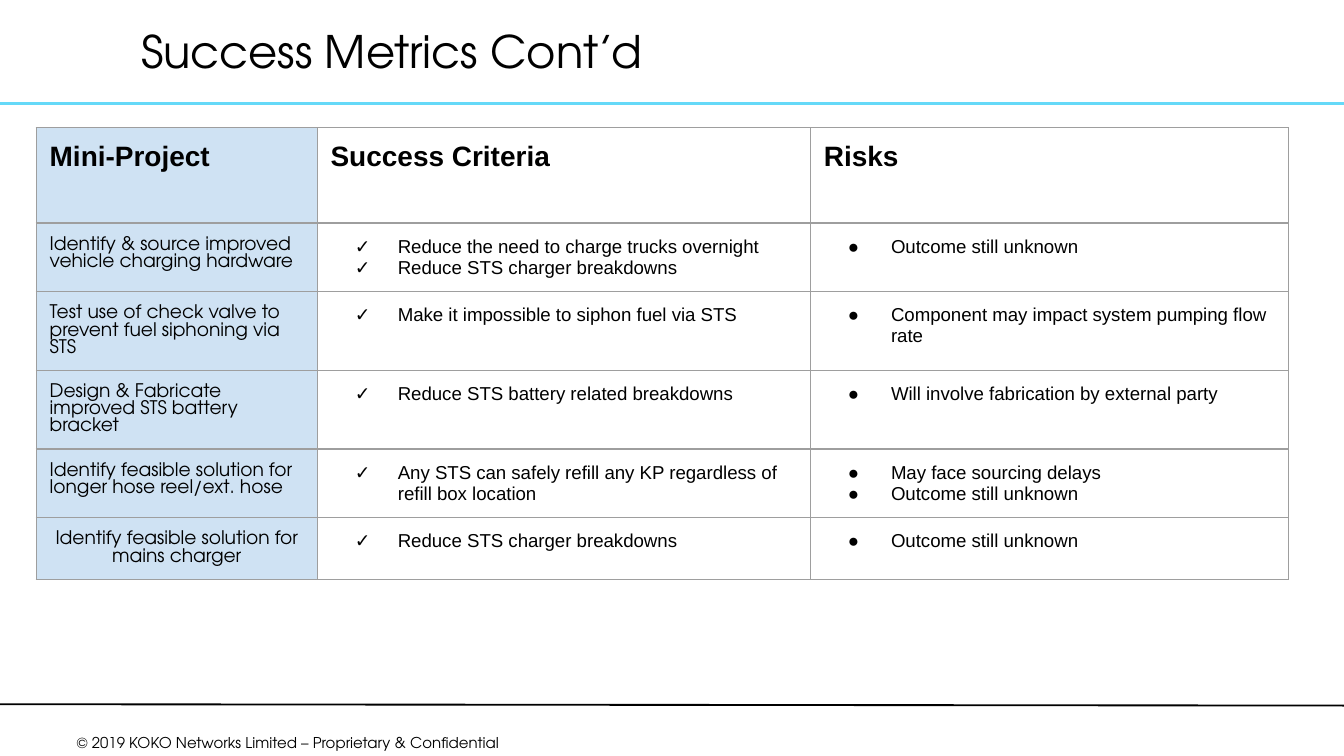
from dataclasses import dataclass

from lxml import etree
from pptx import Presentation
from pptx.dml.color import RGBColor
from pptx.enum.shapes import MSO_CONNECTOR
from pptx.enum.text import MSO_ANCHOR, MSO_AUTO_SIZE, PP_ALIGN
from pptx.oxml.ns import qn
from pptx.util import Inches, Pt

STRAIGHT = MSO_CONNECTOR.STRAIGHT
LEFT, CENTER = PP_ALIGN.LEFT, PP_ALIGN.CENTER
TOP, MIDDLE = MSO_ANCHOR.TOP, MSO_ANCHOR.MIDDLE
NO_AUTOFIT = MSO_AUTO_SIZE.NONE

PAGE_WIDTH = 10
PAGE_HEIGHT = PAGE_WIDTH * 9 / 16
COLORS = {"text": "000000", "accent": "65D9F8", "project": "CFE2F3", "border": "9E9E9E"}
DISPLAY_FONT, BODY_FONT = "TeX Gyre Adventor", "Arial"
CHECK, DOT = "✓", "●"


@dataclass
class TextStyle:
    name: str
    size: float
    bold: bool = False


@dataclass
class Rule:
    start: tuple[float, float]
    end: tuple[float, float]
    color: str
    width: float


@dataclass
class Project:
    name: str
    criteria: list[str]
    risks: list[str]
    align: PP_ALIGN = LEFT


TITLE = TextStyle(DISPLAY_FONT, 24)
FOOTER = TextStyle(DISPLAY_FONT, 8)
HEADING = TextStyle(BODY_FONT, 15, True)
PROJECT = TextStyle(DISPLAY_FONT, 10)
ITEM = TextStyle(BODY_FONT, 10)

RULES = [
    Rule((0, 0.77), (10.01, 0.77), "accent", 1.5),
    Rule((0, 5.24), (10, 5.25), "text", 1),
]
HEADINGS = ["Mini-Project", "Success Criteria", "Risks"]
COLUMN_WIDTHS = [2.09, 3.67, 3.56]
HEADER_HEIGHT, ROW_HEIGHT = 0.71, 0.42
PROJECTS = [
    Project("Identify & source improved vehicle charging hardware",
            ["Reduce the need to charge trucks overnight", "Reduce STS charger breakdowns"],
            ["Outcome still unknown"]),
    Project("Test use of check valve to prevent fuel siphoning via STS",
            ["Make it impossible to siphon fuel via STS"],
            ["Component may impact system pumping flow rate"]),
    Project("Design & Fabricate improved STS battery bracket",
            ["Reduce STS battery related breakdowns"],
            ["Will involve fabrication by external party"]),
    Project("Identify feasible solution for longer hose reel/ext. hose",
            ["Any STS can safely refill any KP regardless of refill box location"],
            ["May face sourcing delays", "Outcome still unknown"]),
    Project("Identify feasible solution for mains charger",
            ["Reduce STS charger breakdowns"], ["Outcome still unknown"], CENTER),
]


def rgb(color: str) -> RGBColor:
    return RGBColor.from_string(COLORS[color])


def add_color(parent, tag: str, color: str) -> None:
    holder = etree.SubElement(parent, qn(tag))
    etree.SubElement(holder, qn("a:srgbClr"), val=COLORS[color])


def add_bullet(para, bullet: str) -> None:
    properties = para._p.get_or_add_pPr()
    properties.set("marL", str(Inches(0.5)))
    properties.set("indent", str(Inches(-0.32)))
    add_color(properties, "a:buClr", "text")
    etree.SubElement(properties, qn("a:buFont"), typeface=BODY_FONT)
    etree.SubElement(properties, qn("a:buChar"), char=bullet)


def write(frame, lines: list[str], style: TextStyle, align=LEFT, bullet: str = "") -> None:
    for index, line in enumerate(lines):
        para = frame.add_paragraph() if index else frame.paragraphs[0]
        para.alignment = align
        if bullet:
            add_bullet(para, bullet)
        span = para.add_run()
        span.text = line
        for key, value in {"name": style.name, "size": Pt(style.size), "bold": style.bold}.items():
            setattr(span.font, key, value)
        span.font.color.rgb = rgb("text")


def format_box(box, bounds: tuple[float, ...], anchor) -> None:
    for key, value in zip(("left", "top", "width", "height"), bounds):
        setattr(box, key, Inches(value))
    settings = {
        "margin_left": Inches(0.07), "margin_right": Inches(0.07),
        "margin_top": Inches(0.04), "margin_bottom": Inches(0.04),
        "word_wrap": True, "auto_size": NO_AUTOFIT, "vertical_anchor": anchor,
    }
    for key, value in settings.items():
        setattr(box.text_frame, key, value)


def add_rule(slide, rule: Rule) -> None:
    line = slide.shapes.add_connector(STRAIGHT, *map(Inches, rule.start + rule.end))
    line.line.color.rgb = rgb(rule.color)
    line.line.width = Pt(rule.width)
    etree.SubElement(line._element.spPr, qn("a:effectLst"))


def format_cell(cell, filled: bool) -> None:
    for side in ("left", "right", "top", "bottom"):
        setattr(cell, f"margin_{side}", Inches(0.1))
    properties = cell._tc.get_or_add_tcPr()
    for side in "LRTB":
        border = etree.SubElement(properties, qn(f"a:ln{side}"), w=str(Pt(0.75)))
        add_color(border, "a:solidFill", "border")
    if filled:
        cell.fill.solid()
        cell.fill.fore_color.rgb = rgb("project")
    else:
        cell.fill.background()


def add_metrics_table(slide) -> None:
    heights = [HEADER_HEIGHT] + [ROW_HEIGHT] * len(PROJECTS)
    table = slide.shapes.add_table(
        len(heights), len(HEADINGS), Inches(0.27), Inches(0.95),
        Inches(sum(COLUMN_WIDTHS)), Inches(sum(heights))).table
    table.first_row = table.horz_banding = False
    for column, width in zip(table.columns, COLUMN_WIDTHS):
        column.width = Inches(width)
    for row, height in zip(table.rows, heights):
        row.height = Inches(height)
        for index, cell in enumerate(row.cells):
            format_cell(cell, filled=index == 0)

    for index, heading in enumerate(HEADINGS):
        write(table.cell(0, index).text_frame, [heading], HEADING)
    for row, project in enumerate(PROJECTS, start=1):
        name, criteria, risks = (table.cell(row, index).text_frame for index in range(3))
        write(name, [project.name], PROJECT, project.align)
        write(criteria, project.criteria, ITEM, bullet=CHECK)
        write(risks, project.risks, ITEM, bullet=DOT)


def main() -> None:
    deck = Presentation()
    deck.slide_width, deck.slide_height = Inches(PAGE_WIDTH), Inches(PAGE_HEIGHT)
    page = deck.slides.add_slide(deck.slide_layouts[5])

    # Rules and footer
    for rule in RULES:
        add_rule(page, rule)
    footer = page.shapes.add_textbox(0, 0, 0, 0)
    format_box(footer, (0, 5.42, 4.29, 0.21), TOP)
    write(footer.text_frame, ["© 2019 KOKO Networks Limited – Proprietary & Confidential"],
          FOOTER, CENTER)

    # Title
    title = page.shapes.title
    format_box(title, (0.98, 0.08, 8.64, 0.64), MIDDLE)
    write(title.text_frame, ["Success Metrics Cont’d"], TITLE)
    title.text_frame.paragraphs[0].line_spacing = 0.9

    # Projects with their criteria and risks
    add_metrics_table(page)
    deck.save("out.pptx")


if __name__ == "__main__":
    main()
